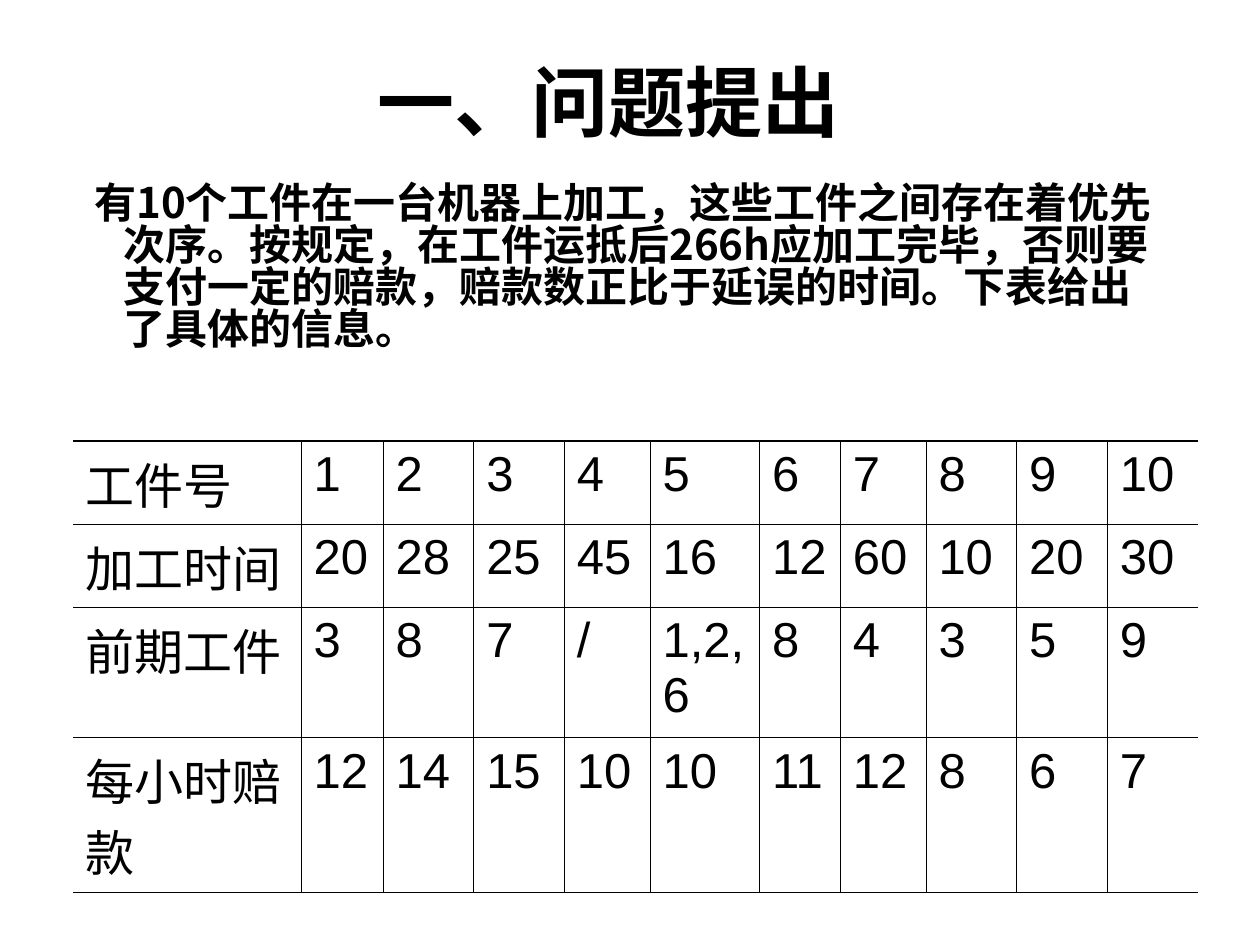
from lxml import etree
from pptx import Presentation
from pptx.dml.color import RGBColor
from pptx.enum.text import MSO_ANCHOR, PP_ALIGN
from pptx.oxml.ns import qn
from pptx.util import Inches, Pt

CENTER = PP_ALIGN.CENTER
MIDDLE = MSO_ANCHOR.MIDDLE
CJK = "Noto Sans CJK SC"
BLACK = "000000"
THIN, THICK = 0.45, 1.08


def add_text(paragraph, text, size, latin, bold=False):
    run = paragraph.add_run()
    run.text = text
    run.font.size = Pt(size)
    run.font.bold = bold
    run.font.name = latin
    run.font.color.rgb = RGBColor.from_string(BLACK)
    etree.SubElement(run.font._element, qn("a:ea"), typeface=CJK)


def add_border(cell, side, width):
    """Draw one cell edge; a width of 0 leaves it open."""
    line = etree.SubElement(cell._tc.get_or_add_tcPr(), qn(f"a:ln{side}"),
                            w=str(Pt(width)))
    if width:
        fill = etree.SubElement(line, qn("a:solidFill"))
        etree.SubElement(fill, qn("a:srgbClr"), val=BLACK)
    else:
        etree.SubElement(line, qn("a:noFill"))


prs = Presentation()
prs.slide_width, prs.slide_height = Inches(10), Inches(7.5)
slide = prs.slides.add_slide(prs.slide_layouts[6])

# Title
title = slide.shapes.add_textbox(Inches(0.33), Inches(0.17), Inches(9), Inches(1.25)).text_frame
title.word_wrap = True
title.vertical_anchor = MIDDLE
title.paragraphs[0].alignment = CENTER
add_text(title.paragraphs[0], "一、问题提出", 44, CJK, bold=True)

# Problem statement with a hanging indent
problem = slide.shapes.add_textbox(Inches(0.5), Inches(1.42), Inches(8.75), Inches(1.75)).text_frame
problem.word_wrap = True
statement = problem.paragraphs[0]
statement.line_spacing = 0.83
indent = statement._p.get_or_add_pPr()
indent.set("marL", str(Inches(0.38)))
indent.set("indent", str(Inches(-0.23)))
add_text(statement,
         "有10个工件在一台机器上加工，这些工件之间存在着优先次序。"
         "按规定，在工件运抵后266h应加工完毕，否则要支付一定的赔款，"
         "赔款数正比于延误的时间。下表给出了具体的信息。",
         24, CJK, bold=True)

# Job table
jobs = [
    ["工件号", "1", "2", "3", "4", "5", "6", "7", "8", "9", "10"],
    ["加工时间", "20", "28", "25", "45", "16", "12", "60", "10", "20", "30"],
    ["前期工件", "3", "8", "7", "/", "1,2,6", "8", "4", "3", "5", "9"],
    ["每小时赔款", "12", "14", "15", "10", "10", "11", "12", "8", "6", "7"],
]
column_widths = [1.81, 0.65, 0.72, 0.72, 0.68, 0.87, 0.64, 0.68, 0.72, 0.72, 0.72]
row_heights = [0.66, 0.66, 0.97, 1.23]
last_row, last_column = len(row_heights) - 1, len(column_widths) - 1

job_table = slide.shapes.add_table(len(row_heights), len(column_widths), Inches(0.58), Inches(3.5),
                                   Inches(8.92), Inches(3.52)).table
job_table.first_row = False
job_table.horz_banding = False
for column, width in zip(job_table.columns, column_widths):
    column.width = Inches(width)
for row, height in zip(job_table.rows, row_heights):
    row.height = Inches(height)

for r, values in enumerate(jobs):
    for c, value in enumerate(values):
        cell = job_table.cell(r, c)
        add_text(cell.text_frame.paragraphs[0], value, 28, "Arial")
        # Open at both sides, heavier at top and bottom
        add_border(cell, "L", THIN if c > 0 else 0)
        add_border(cell, "R", THIN if c < last_column else 0)
        add_border(cell, "T", THIN if r > 0 else THICK)
        add_border(cell, "B", THIN if r < last_row else THICK)
        cell.fill.background()

prs.save("out.pptx")
